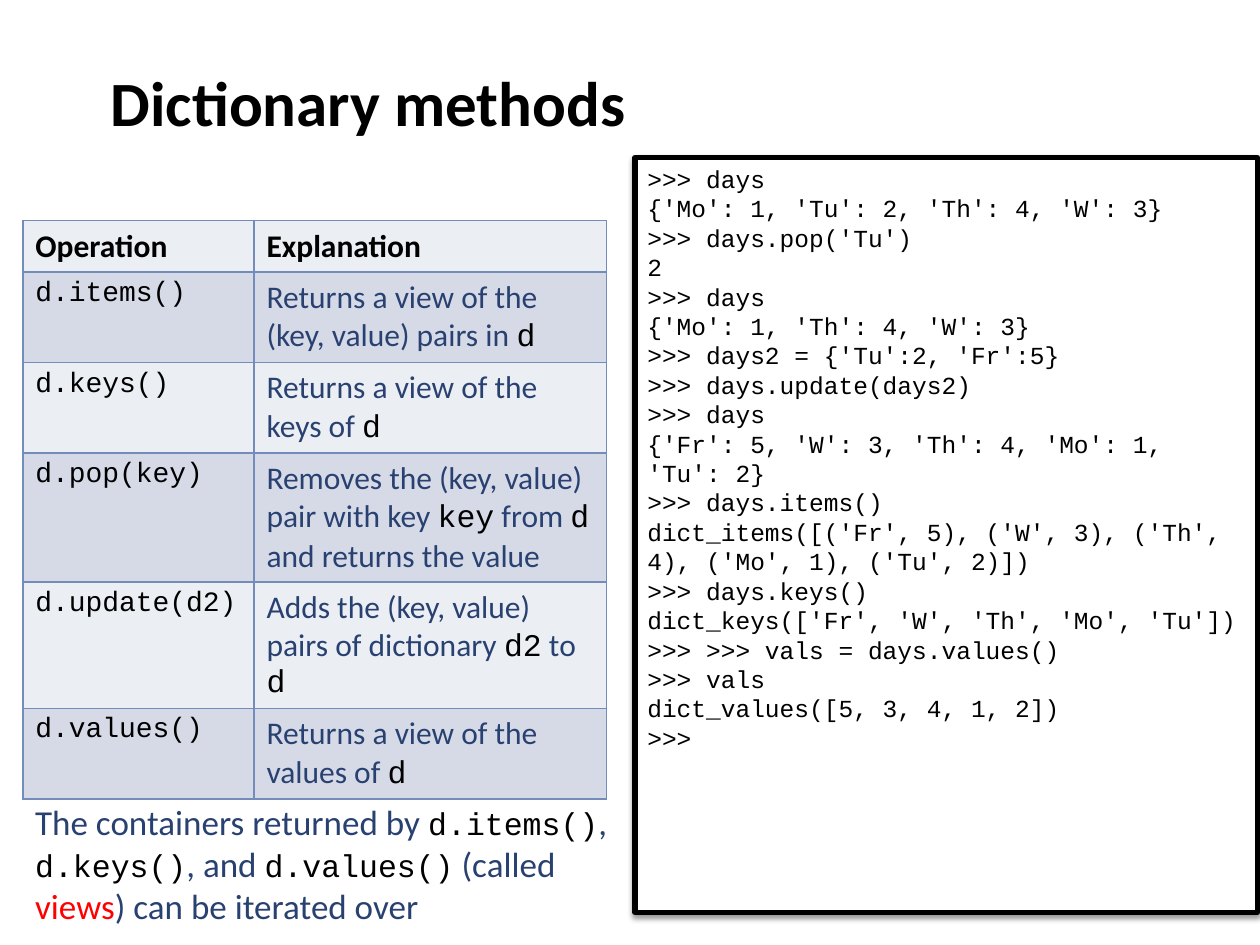
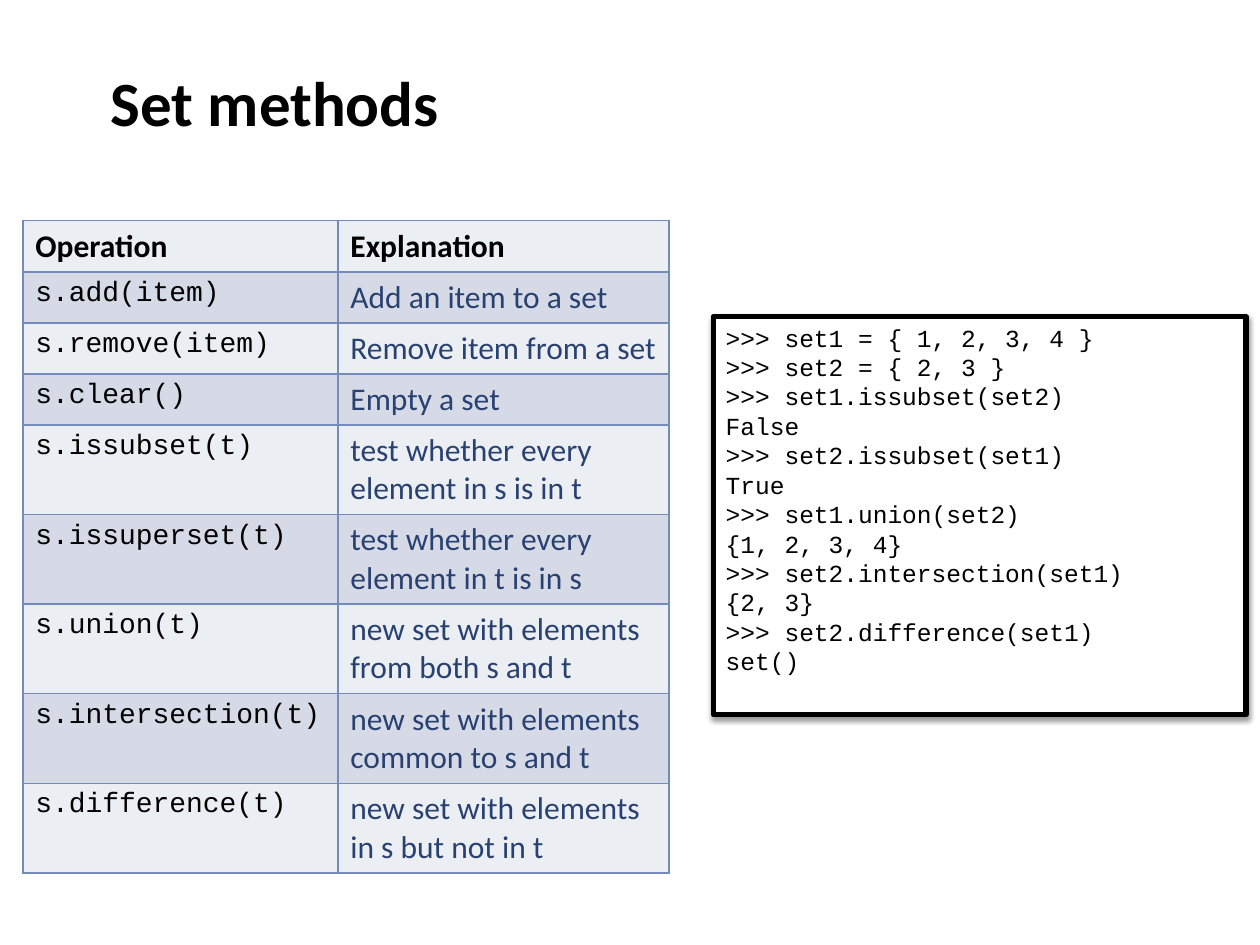
from dataclasses import dataclass

from lxml import etree
from pptx import Presentation
from pptx.dml.color import RGBColor
from pptx.enum import shapes, text
from pptx.oxml import ns, parse_xml
from pptx.util import Cm, Pt


@dataclass(frozen=True)
class Style:
    font: str
    size: int
    color: str
    bold: bool = False


@dataclass(frozen=True)
class Theme:
    black: str = "000000"
    white: str = "FFFFFF"
    border: str = "748CBC"
    bands: tuple = ("EBEEF3", "D6DAE7")
    title: Style = Style("Calibri", 36, "000000", True)
    header: Style = Style("Calibri", 18, "000000", True)
    body: Style = Style("Calibri", 18, "294171")
    note: Style = Style("Calibri", 20, "294171")
    accent: Style = Style("Calibri", 20, "FF0000")
    operation: Style = Style("Courier New", 16, "000000")
    inline: Style = Style("Courier New", 18, "000000")
    console: Style = Style("Courier New", 14, "000000")


T = Theme()

DICT_METHODS = [
    ("d.items()", 2, "Returns a view of the (key, value) pairs in `d`"),
    ("d.keys()", 2, "Returns a view of the keys of `d`"),
    ("d.pop(key)", 3, "Removes the (key, value) pair with key `key` from `d` and returns the value"),
    ("d.update(d2)", 3, "Adds the (key, value) pairs of dictionary `d2` to `d`"),
    ("d.values()", 2, "Returns a view of the values of `d`"),
]

SET_METHODS = [
    ("s.add(item)", 1, "Add an item to a set"),
    ("s.remove(item)", 1, "Remove item from a set"),
    ("s.clear()", 1, "Empty a set"),
    ("s.issubset(t)", 2, "test whether every element in s is in t"),
    ("s.issuperset(t)", 2, "test whether every element in t is in s"),
    ("s.union(t)", 2, "new set with elements from both s and t"),
    ("s.intersection(t)", 2, "new set with elements common to s and t"),
    ("s.difference(t)", 2, "new set with elements in s but not in t"),
]

DICT_SESSION = """>>> days
{'Mo': 1, 'Tu': 2, 'Th': 4, 'W': 3}
>>> days.pop('Tu')
2
>>> days
{'Mo': 1, 'Th': 4, 'W': 3}
>>> days2 = {'Tu':2, 'Fr':5}
>>> days.update(days2)
>>> days
{'Fr': 5, 'W': 3, 'Th': 4, 'Mo': 1, 'Tu': 2}
>>> days.items()
dict_items([('Fr', 5), ('W', 3), ('Th', 4), ('Mo', 1), ('Tu', 2)])
>>> days.keys()
dict_keys(['Fr', 'W', 'Th', 'Mo', 'Tu'])
>>> >>> vals = days.values()
>>> vals
dict_values([5, 3, 4, 1, 2])
>>>"""

SET_SESSION = """>>> set1 = { 1, 2, 3, 4 }
>>> set2 = { 2, 3 }
>>> set1.issubset(set2)
False
>>> set2.issubset(set1)
True
>>> set1.union(set2)
{1, 2, 3, 4}
>>> set2.intersection(set1)
{2, 3}
>>> set2.difference(set1)
set()"""


def add_run(p, content, style):
    r = p.add_run()
    r.text = content
    r.font.name = style.font
    r.font.size = Pt(style.size)
    r.font.bold = style.bold
    r.font.color.rgb = RGBColor.from_string(style.color)


def add_marked_runs(p, content, style):
    for i, part in enumerate(content.split("`")):
        if part:
            add_run(p, part, T.inline if i % 2 else style)


def add_titled_slide(prs, title):
    s = prs.slides.add_slide(prs.slide_layouts[5])
    sp = s.shapes.title
    sp.left, sp.top, sp.width, sp.height = Cm(1.98), Cm(0), Cm(21.59), Cm(4.09)
    tf = sp.text_frame
    tf.vertical_anchor = text.MSO_ANCHOR.MIDDLE
    p = tf.paragraphs[0]
    p.alignment = text.PP_ALIGN.LEFT
    add_run(p, title, T.title)
    return s


def add_shadow(sp):
    sp.shadow.inherit = False
    effects = sp._element.spPr.find(ns.qn("a:effectLst"))
    effects.append(parse_xml(
        f'<a:outerShdw {ns.nsdecls("a")} blurRad="40000" dist="20000" dir="5400000" '
        f'rotWithShape="0"><a:srgbClr val="{T.black}"><a:alpha val="38000"/>'
        '</a:srgbClr></a:outerShdw>'))


def add_console(s, session, left, top, width, height):
    sp = s.shapes.add_shape(shapes.MSO_SHAPE.RECTANGLE, Cm(left), Cm(top), Cm(width), Cm(height))
    sp.fill.solid()
    sp.fill.fore_color.rgb = RGBColor.from_string(T.white)
    sp.line.color.rgb = RGBColor.from_string(T.black)
    sp.line.width = Pt(3)
    add_shadow(sp)
    tf = sp.text_frame
    tf.word_wrap = True
    tf.vertical_anchor = text.MSO_ANCHOR.TOP
    for i, line in enumerate(session.splitlines()):
        p = tf.add_paragraph() if i else tf.paragraphs[0]
        p.alignment = text.PP_ALIGN.LEFT
        add_run(p, line, T.console)


def format_cell(cell, fill):
    tc_pr = cell._tc.get_or_add_tcPr()
    for side in ("a:lnL", "a:lnR", "a:lnT", "a:lnB"):
        ln = etree.SubElement(tc_pr, ns.qn(side), w=str(Pt(1)))
        solid = etree.SubElement(ln, ns.qn("a:solidFill"))
        etree.SubElement(solid, ns.qn("a:srgbClr"), val=T.border)
    cell.fill.solid()
    cell.fill.fore_color.rgb = RGBColor.from_string(fill)


def add_method_table(s, methods, widths):
    rows = [("Operation", 1, "Explanation")] + methods
    heights = [Cm(0.28 + 0.75 * lines) for _, lines, _ in rows]
    frame = s.shapes.add_table(len(rows), 2, Cm(0.46), Cm(4.45), Cm(sum(widths)), sum(heights))
    table = frame.table
    table.horz_banding = False
    for column, width in zip(table.columns, widths):
        column.width = Cm(width)
    for i, (operation, _, explanation) in enumerate(rows):
        table.rows[i].height = heights[i]
        styles = (T.operation, T.body) if i else (T.header, T.header)
        for j, content in enumerate((operation, explanation)):
            cell = table.cell(i, j)
            format_cell(cell, T.bands[i % 2])
            add_marked_runs(cell.text_frame.paragraphs[0], content, styles[j])


def add_views_note(s):
    sp = s.shapes.add_textbox(Cm(0.46), Cm(16), Cm(12.32), Cm(2.82))
    tf = sp.text_frame
    tf.word_wrap = True
    tf.vertical_anchor = text.MSO_ANCHOR.MIDDLE
    p = tf.paragraphs[0]
    add_marked_runs(
        p, "The containers returned by `d.items()`, `d.keys()`, and `d.values()` (called ", T.note)
    add_run(p, "views", T.accent)
    add_run(p, ") can be iterated over", T.note)


def main():
    prs = Presentation()
    prs.slide_width, prs.slide_height = Cm(25.4), Cm(19.05)

    s = add_titled_slide(prs, "Dictionary methods")
    add_console(s, DICT_SESSION, 12.8, 3.18, 12.55, 15.21)
    add_method_table(s, DICT_METHODS, (4.66, 7.11))
    add_views_note(s)

    s = add_titled_slide(prs, "Set methods")
    add_console(s, SET_SESSION, 14.38, 6.38, 10.74, 8.03)
    add_method_table(s, SET_METHODS, (6.35, 6.68))

    prs.save("out.pptx")


if __name__ == "__main__":
    main()
